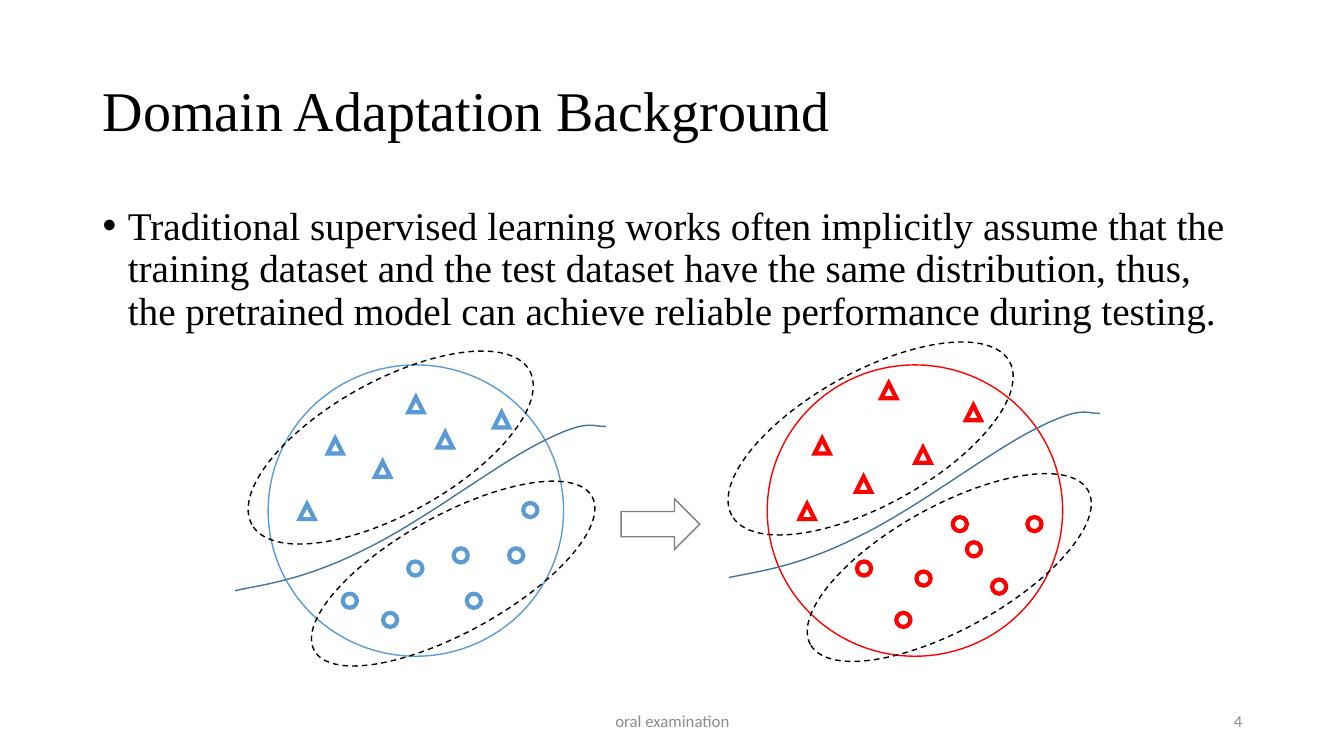
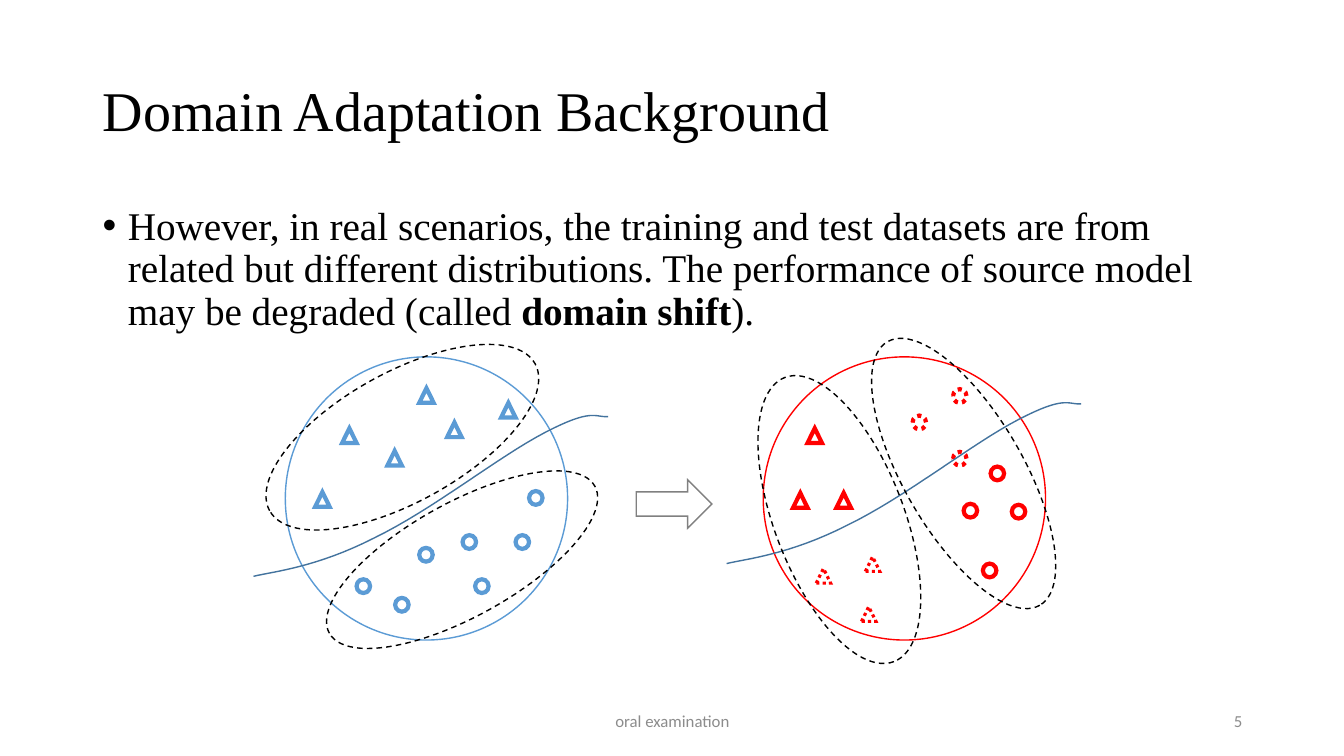
from dataclasses import dataclass

from lxml import etree
from pptx import Presentation
from pptx.dml.color import RGBColor
from pptx.enum.dml import MSO_LINE
from pptx.enum.shapes import MSO_SHAPE
from pptx.enum.text import MSO_ANCHOR, MSO_AUTO_SIZE, PP_ALIGN
from pptx.oxml.ns import qn
from pptx.util import Cm, Pt

OVAL, TRIANGLE, ARROW = MSO_SHAPE.OVAL, MSO_SHAPE.ISOSCELES_TRIANGLE, MSO_SHAPE.RIGHT_ARROW
DASHED, DOTTED = MSO_LINE.DASH, MSO_LINE.ROUND_DOT
LEFT, CENTER, RIGHT = PP_ALIGN.LEFT, PP_ALIGN.CENTER, PP_ALIGN.RIGHT
TOP, MIDDLE = MSO_ANCHOR.TOP, MSO_ANCHOR.MIDDLE


@dataclass(frozen=True)
class Theme:
    text: str = "000000"
    muted: str = "8C8C8C"
    train: str = "5B9BD5"
    test: str = "FF0000"
    boundary: str = "43739E"
    arrow: str = "808080"
    serif: str = "Times New Roman"
    sans: str = "Calibri"
    title_size: float = 40
    body_size: float = 28
    footer_size: float = 12
    thin: float = 1
    dotted: float = 2.25
    thick: float = 3


THEME = Theme()
TITLE = "Domain Adaptation Background"
FOOTER = "oral examination"
TITLE_BOX = (0.92, 0.4, 11.5, 1.45)
BODY_BOX = (0.92, 2, 11.5, 4.76)
FOOTER_BOX = (4.42, 6.95, 4.5, 0.4)
NUMBER_BOX = (9.42, 6.95, 3, 0.4)

DOMAIN_SIZE = (2.93, 2.89)
CIRCLE_SIZE, TRIANGLE_SIZE = 0.14, 0.15
BOUNDARY_CURVE = [
    [(0, 0), (0.21, -0.05), (0.65, -0.09), (1.25, -0.39)],
    [(1.25, -0.39), (1.86, -0.68), (2.54, -1.22), (3.03, -1.47)],
    [(3.03, -1.47), (3.52, -1.72), (3.54, -1.62), (3.68, -1.63)],
]
CURVE_STEPS = 16

TRAINING = {
    "color": THEME.train,
    "circles": [(2.39, 1.82), (1.84, 1.82), (0.74, 2.27), (1.14, 2.46),
                (1.39, 1.95), (1.97, 2.27), (2.53, 1.37)],
    "triangles": [(1.39, 0.32), (0.59, 0.73), (2.24, 0.47),
                  (1.68, 0.67), (1.06, 0.96), (0.31, 1.38)],
    "boundary": (-0.33, 2.24),
    "classes": [(-0.36, 0.16, 3.15, 1.32, 331), (0.26, 1.49, 3.15, 1.16, 331)],
}
SAME_TEST = {
    "color": THEME.test,
    "circles": [(2.23, 2.13), (1.84, 1.51), (1.48, 2.05), (0.89, 1.95),
                (1.98, 1.76), (1.28, 2.46), (2.58, 1.51)],
    "triangles": [(1.47, 0.82), (1.13, 0.18), (1.97, 0.4),
                  (0.88, 1.11), (0.47, 0.73), (0.32, 1.38)],
    "boundary": (-0.38, 2.11),
    "classes": [(-0.55, 0.07, 3.15, 1.32, 331), (0.23, 1.4, 3.15, 1.22, 331)],
}
SHIFTED_TEST = {
    "color": THEME.test,
    "circles": [(2.28, 2.11), (2.36, 1.12), (2.08, 1.5), (2.58, 1.51)],
    "triangles": [(0.76, 1.39), (0.46, 0.73), (0.31, 1.39)],
    "wrong_circles": [(1.55, 0.6), (1.97, 0.33), (1.97, 0.97)],
    "wrong_triangles": [(0.55, 2.16), (1.06, 2.04), (1.02, 2.55)],
    "boundary": (-0.38, 2.11),
    "classes": [(-0.79, 1, 3.16, 1.32, 249), (0.5, 0.58, 3.16, 1.22, 240)],
}
SLIDES = [
    {
        "number": 4,
        "body": [("Traditional supervised learning works often implicitly assume that "
                  "the training dataset and the test dataset have the same distribution, "
                  "thus, the pretrained model can achieve reliable performance during "
                  "testing.", False)],
        "scale": (1, 1),
        "domains": [((2.66, 3.62), TRAINING), ((7.61, 3.62), SAME_TEST)],
        "arrow": (6.16, 4.95, 0.78, 0.5),
    },
    {
        "number": 5,
        "body": [("However, in real scenarios, the training and test datasets are from "
                  "related but different distributions. The performance of source model "
                  "may be degraded (called ", False), ("domain shift", True), (").", False)],
        "scale": (2.8 / 2.93, 2.81 / 2.89),
        "domains": [((2.83, 3.54), TRAINING), ((7.57, 3.54), SHIFTED_TEST)],
        "arrow": (6.31, 4.76, 0.75, 0.48),
    },
]


def length(inches):
    return Cm(inches * 2.54)


def lengths(values):
    return [length(value) for value in values]


def write_text(shape, segments, *, size, font=THEME.serif, color=THEME.text,
               align=LEFT, anchor=TOP, spacing=1.0, bullet=False):
    frame = shape.text_frame
    frame.word_wrap = True
    frame.auto_size = MSO_AUTO_SIZE.NONE
    frame.vertical_anchor = anchor
    paragraph = frame.paragraphs[0]
    paragraph.alignment = align
    paragraph.line_spacing = spacing
    if bullet:
        properties = paragraph._p.get_or_add_pPr()
        properties.set("marL", str(length(0.25)))
        properties.set("indent", str(length(-0.25)))
        etree.SubElement(properties, qn("a:buFont")).set("typeface", "Arial")
        etree.SubElement(properties, qn("a:buChar")).set("char", "•")
    for text, bold in segments:
        run = paragraph.add_run()
        run.text = text
        run.font.name = font
        run.font.size = Pt(size)
        run.font.bold = bold
        run.font.color.rgb = RGBColor.from_string(color)


def outline(shape, color, width=THEME.thin, dash=None):
    shape.shadow.inherit = False
    shape.fill.background()
    line = shape.line
    line.color.rgb = RGBColor.from_string(color)
    line.width = Pt(width)
    if dash is not None:
        line.dash_style = dash
    etree.SubElement(line._get_or_add_ln(), qn("a:miter")).set("lim", "800000")


def add_outline(slide, kind, box, color, rotation=0, **line_format):
    shape = slide.shapes.add_shape(kind, *lengths(box))
    shape.rotation = rotation
    outline(shape, color, **line_format)


def bezier(points, position):
    rest = 1 - position
    weights = (rest ** 3, 3 * rest ** 2 * position, 3 * rest * position ** 2, position ** 3)
    return tuple(sum(weight * point[axis] for weight, point in zip(weights, points))
                 for axis in (0, 1))


def add_domain(slide, origin, domain, scale):
    def place(x, y):
        return origin[0] + x * scale[0], origin[1] + y * scale[1]

    def box(x, y, width, height):
        return (*place(x, y), width * scale[0], height * scale[1])

    color = domain["color"]
    add_outline(slide, OVAL, box(0, 0, *DOMAIN_SIZE), color)
    markers = [
        ("circles", OVAL, CIRCLE_SIZE, THEME.thick, None),
        ("triangles", TRIANGLE, TRIANGLE_SIZE, THEME.thick, None),
        ("wrong_circles", OVAL, CIRCLE_SIZE, THEME.thick, DOTTED),
        ("wrong_triangles", TRIANGLE, TRIANGLE_SIZE, THEME.dotted, DOTTED),
    ]
    for name, kind, size, width, dash in markers:
        for x, y in domain.get(name, []):
            add_outline(slide, kind, box(x, y, size, size), color, width=width, dash=dash)

    left, top = domain["boundary"]
    curve = [bezier(segment, step / CURVE_STEPS)
             for segment in BOUNDARY_CURVE for step in range(1, CURVE_STEPS + 1)]
    builder = slide.shapes.build_freeform(*lengths(place(left, top)), scale=1.0)
    builder.add_line_segments([lengths(place(left + x, top + y)) for x, y in curve],
                              close=False)
    outline(builder.convert_to_shape(), THEME.boundary)

    for *bounds, rotation in domain["classes"]:
        add_outline(slide, OVAL, box(*bounds), THEME.text, rotation=rotation, dash=DASHED)


def add_slide(presentation, content):
    slide = presentation.slides.add_slide(presentation.slide_layouts[5])
    title = slide.shapes.title
    title.left, title.top, title.width, title.height = lengths(TITLE_BOX)
    write_text(title, [(TITLE, False)], size=THEME.title_size, anchor=MIDDLE, spacing=0.9)
    body = slide.shapes.add_textbox(*lengths(BODY_BOX))
    write_text(body, content["body"], size=THEME.body_size, spacing=0.9, bullet=True)
    for box, text, align in [(FOOTER_BOX, FOOTER, CENTER),
                             (NUMBER_BOX, str(content["number"]), RIGHT)]:
        write_text(slide.shapes.add_textbox(*lengths(box)), [(text, False)],
                   size=THEME.footer_size, font=THEME.sans, color=THEME.muted,
                   align=align, anchor=MIDDLE)
    for origin, domain in content["domains"]:
        add_domain(slide, origin, domain, content["scale"])
    add_outline(slide, ARROW, content["arrow"], THEME.arrow)


def main():
    presentation = Presentation()
    presentation.slide_width, presentation.slide_height = lengths((13.33, 7.5))
    for content in SLIDES:
        add_slide(presentation, content)
    presentation.save("out.pptx")


if __name__ == "__main__":
    main()
